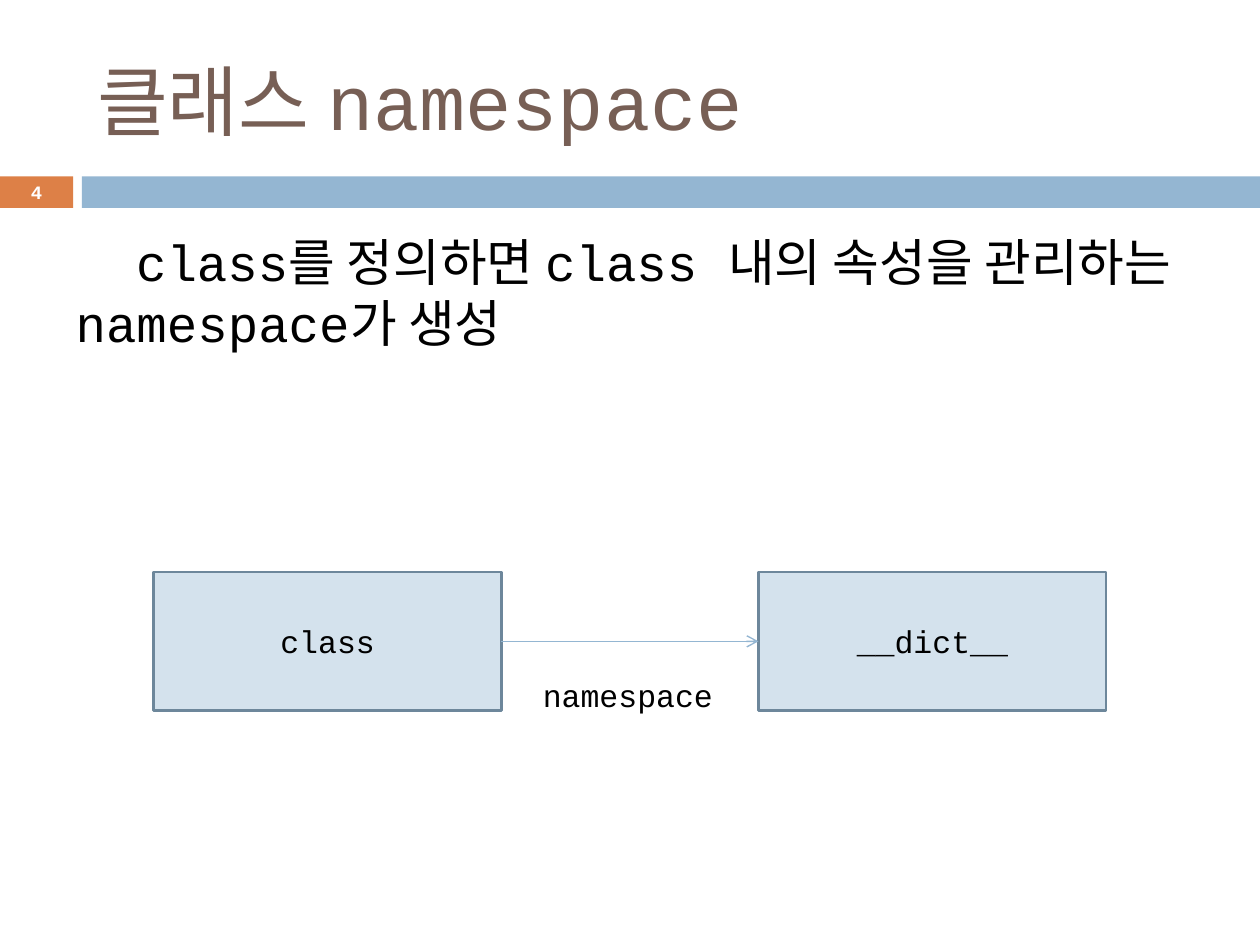
from lxml import etree
from pptx import Presentation
from pptx.dml.color import RGBColor
from pptx.enum.shapes import MSO_CONNECTOR, MSO_SHAPE
from pptx.enum.text import MSO_ANCHOR, MSO_AUTO_SIZE, PP_ALIGN
from pptx.oxml.ns import qn
from pptx.util import Inches, Pt

LEFT, CENTER = PP_ALIGN.LEFT, PP_ALIGN.CENTER
TOP, MIDDLE = MSO_ANCHOR.TOP, MSO_ANCHOR.MIDDLE
NO_FIT, GROW = MSO_AUTO_SIZE.NONE, MSO_AUTO_SIZE.SHAPE_TO_FIT_TEXT
RECT, STRAIGHT = MSO_SHAPE.RECTANGLE, MSO_CONNECTOR.STRAIGHT

BLACK = RGBColor(0x00, 0x00, 0x00)
WHITE = RGBColor(0xFF, 0xFF, 0xFF)
BROWN = RGBColor(0x77, 0x5F, 0x55)
ORANGE = RGBColor(0xDD, 0x80, 0x47)
BLUE = RGBColor(0x94, 0xB6, 0xD2)
PALE_BLUE = RGBColor(0xD4, 0xE2, 0xED)
DARK_BLUE = RGBColor(0x6D, 0x87, 0x9B)


class SlideBuilder:
    """Holds the text style and the slide being built."""

    font = "Courier New"

    def __init__(self, s):
        """Keep the slide."""
        self.s = s

    def fill_text(self, sp, text, size, color=BLACK, bold=False, align=LEFT, **frame):
        """Put one styled paragraph into a shape and return the paragraph."""
        tf = sp.text_frame
        settings = {"word_wrap": True, "auto_size": NO_FIT, "vertical_anchor": TOP}
        for name, value in {**settings, **frame}.items():
            setattr(tf, name, value)
        p = tf.paragraphs[0]
        p.alignment = align
        r = p.add_run()
        r.text = text
        for name, value in {"name": self.font, "size": Pt(size), "bold": bold}.items():
            setattr(r.font, name, value)
        r.font.color.rgb = color
        return p

    def placeholder(self, index, box, text, size, **style):
        """Move and fill a template placeholder; return its paragraph."""
        sp = self.s.placeholders[index]
        for name, value in zip(("left", "top", "width", "height"), box):
            setattr(sp, name, Inches(value))
        return self.fill_text(sp, text, size, **style)

    def rect(self, box, fill, line=None):
        """Add a flat rectangle, outlined if a line colour is given."""
        sp = self.s.shapes.add_shape(RECT, *map(Inches, box))
        sp.shadow.inherit = False
        sp.fill.solid()
        sp.fill.fore_color.rgb = fill
        if line is None:
            sp.line.fill.background()
        else:
            sp.line.color.rgb = line
            sp.line.width = Pt(1.5)
        return sp

    def text(self, box, text, size, **style):
        """Add a text box."""
        sp = self.s.shapes.add_textbox(*map(Inches, box))
        return self.fill_text(sp, text, size, **style)

    def arrow(self, x1, x2, y):
        """Add a horizontal arrow with an open head at its end."""
        sp = self.s.shapes.add_connector(STRAIGHT, *map(Inches, (x1, y, x2, y)))
        sp.line.color.rgb = BLUE
        sp.line.width = Pt(0.79)
        spPr = sp._element.spPr
        etree.SubElement(spPr.find(qn("a:ln")), qn("a:tailEnd"), type="arrow")
        etree.SubElement(spPr, qn("a:effectLst"))


def main():
    """Build and save the slide."""
    prs = Presentation()
    prs.slide_width, prs.slide_height = Inches(10), Inches(7.5)
    b = SlideBuilder(prs.slides.add_slide(prs.slide_layouts[1]))

    b.rect((0, 1.4, 0.58, 0.25), ORANGE)
    b.rect((0.65, 1.4, 9.35, 0.25), BLUE)
    b.placeholder(0, (0.67, 0.25, 8.92, 1.08), "클래스 namespace", 44,
                  color=BROWN, vertical_anchor=MIDDLE)
    p = b.placeholder(1, (0.5, 1.78, 9, 1.81),
                      "class를 정의하면 class 내의 속성을 관리하는 namespace가 생성", 29)
    p.space_before = Pt(7)
    pPr = p._p.get_or_add_pPr()
    pPr.set("marL", "0")
    pPr.set("indent", str(Inches(0.48)))
    etree.SubElement(pPr, qn("a:buNone"))

    box_w, box_h, box_top = 2.76, 1.1, 4.54
    class_x, dict_x = 1.22, 6.02
    for x, label in ((class_x, "class"), (dict_x, "__dict__")):
        sp = b.rect((x, box_top, box_w, box_h), PALE_BLUE, DARK_BLUE)
        b.fill_text(sp, label, 18, align=CENTER, vertical_anchor=MIDDLE)
    b.arrow(class_x + box_w, dict_x, box_top + box_h / 2)
    b.text((4.21, 5.32, 1.57, 0.4), "namespace", 18, word_wrap=False, auto_size=GROW)

    b.text((0, 1.39, 0.58, 0.27), "4", 10.8, color=WHITE, bold=True, align=CENTER,
           vertical_anchor=MIDDLE, margin_top=0, margin_bottom=0)
    prs.save("out.pptx")


main()
